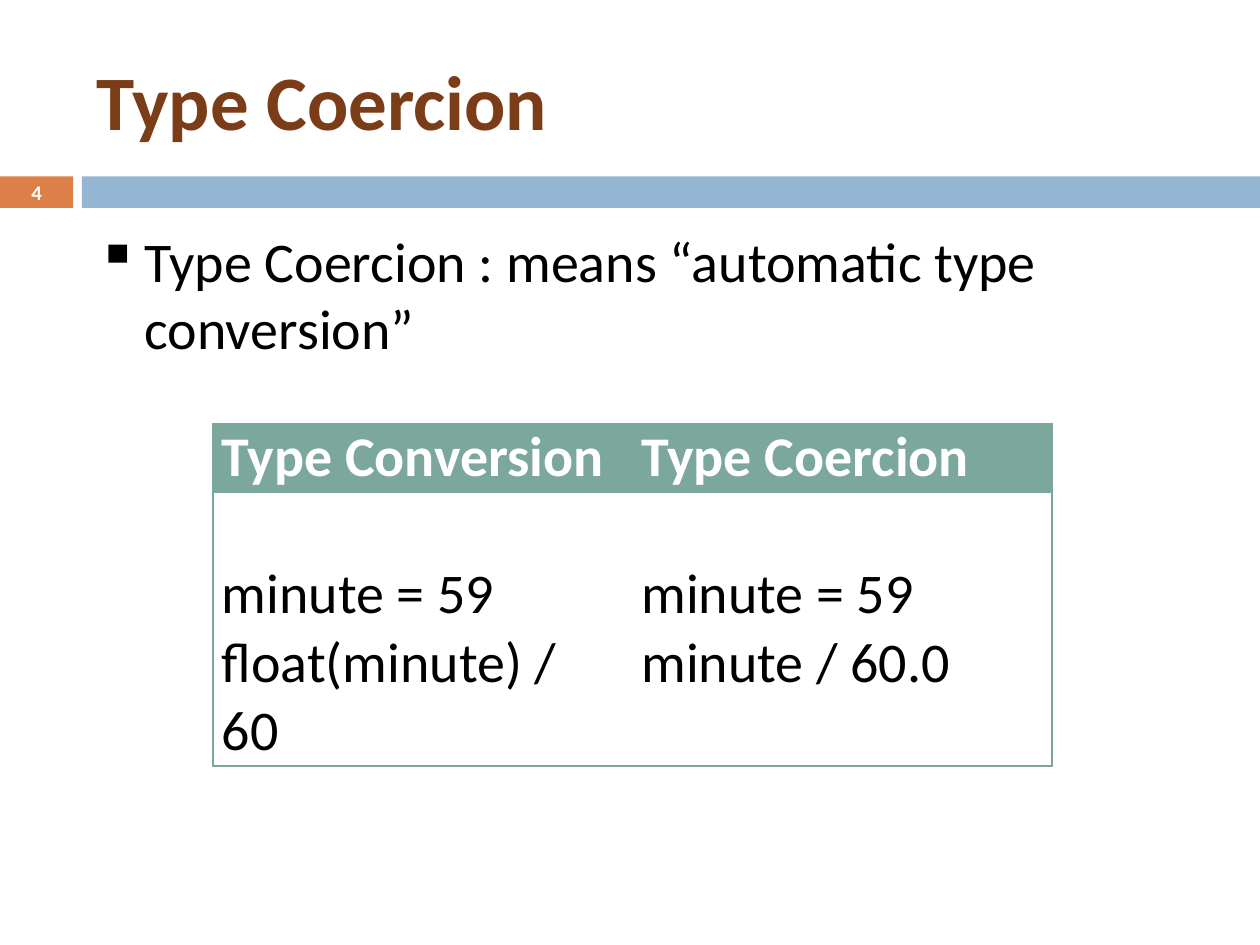
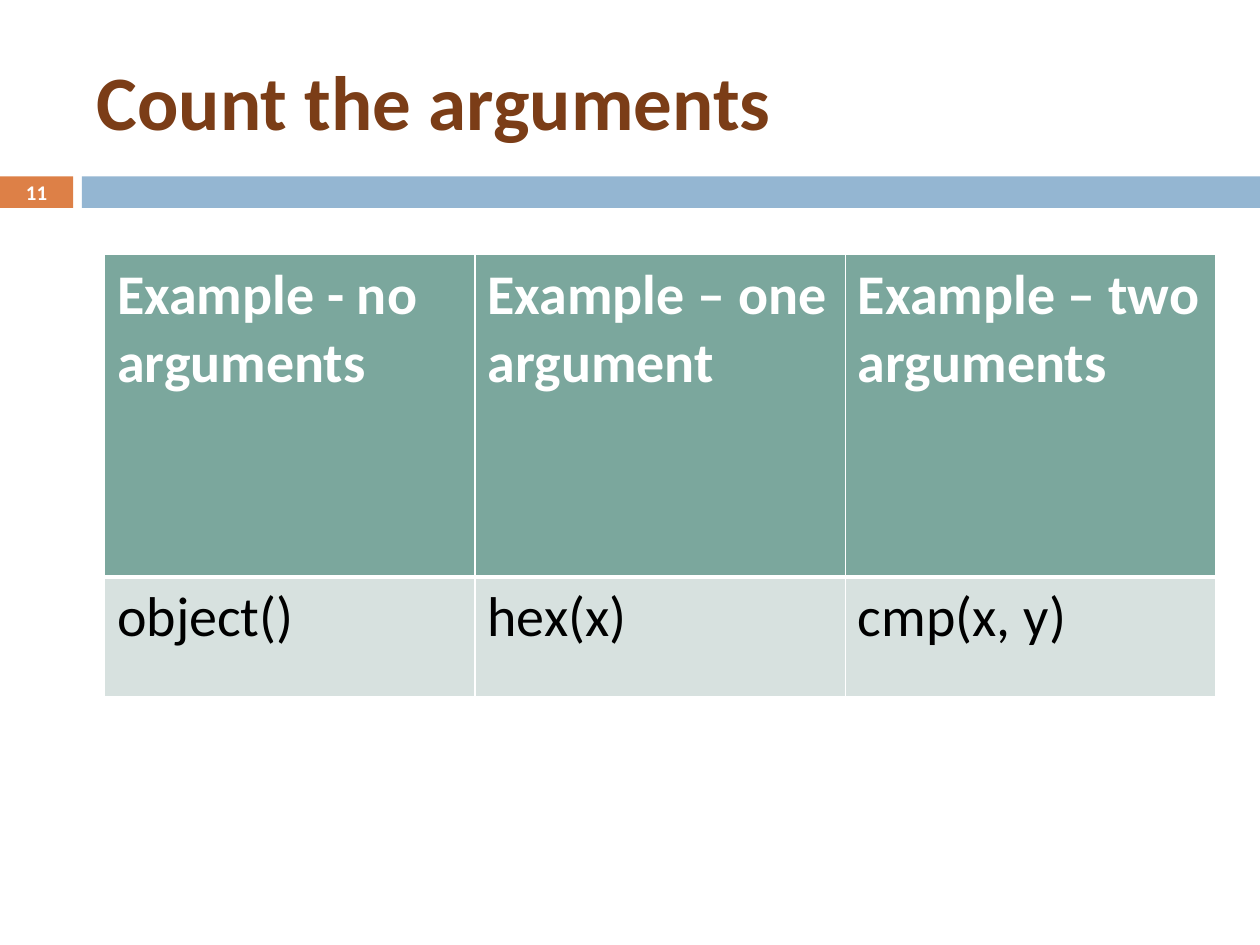
from dataclasses import dataclass

from lxml.etree import SubElement
from pptx import Presentation
from pptx.dml.color import RGBColor
from pptx.enum.shapes import MSO_SHAPE as Shape
from pptx.enum.text import MSO_ANCHOR as Anchor, PP_ALIGN as Align
from pptx.oxml.ns import qn
from pptx.util import Inches, Pt

FONT = "Calibri"
WHITE, BLACK, BROWN = "FFFFFF", "000000", "7B3D17"
ORANGE, BLUE = "DD8047", "94B6D2"
GREEN, PALE_GREEN = "7BA79D", "D7E1DF"
BODY_SIZE = 32


@dataclass
class Box:
    left: float
    top: float
    width: float
    height: float

    def lengths(self) -> list:
        return [Inches(v) for v in (self.left, self.top, self.width, self.height)]


@dataclass
class TextStyle:
    size: float
    color: str
    bold: bool = False


@dataclass
class Border:
    color: str
    points: float


@dataclass
class CellLook:
    text: TextStyle
    fill: str | None
    borders: dict[str, Border]
    side_margin: float = 0.1
    top_margin: float = 0.05
    bottom_margin: float = 0.05


NUMBER_BAND = Box(0, 1.4, 0.58, 0.25)
TITLE_BAND = Box(0.65, 1.4, 9.35, 0.25)
TITLE_BOX = Box(0.67, 0.25, 8.92, 1.08)
NUMBER_BOX = Box(0, 1.39, 0.58, 0.27)

TITLE_TEXT = TextStyle(44, BROWN, True)
NUMBER_TEXT = TextStyle(11.9, WHITE, True)
HEADER_TEXT = TextStyle(BODY_SIZE, WHITE, True)
BODY_TEXT = TextStyle(BODY_SIZE, BLACK)


def rgb(color: str) -> RGBColor:
    return RGBColor.from_string(color)


def add_run(paragraph, text: str, style: TextStyle) -> None:
    run = paragraph.add_run()
    run.text = text
    run.font.name = FONT
    run.font.size = Pt(style.size)
    run.font.bold = style.bold
    run.font.color.rgb = rgb(style.color)


def add_text(slide, box: Box, text: str, style: TextStyle,
             anchor=Anchor.MIDDLE, align=Align.LEFT):
    frame = slide.shapes.add_textbox(*box.lengths()).text_frame
    frame.word_wrap = True
    frame.vertical_anchor = anchor
    paragraph = frame.paragraphs[0]
    paragraph.alignment = align
    add_run(paragraph, text, style)
    return paragraph


def add_band(slide, box: Box, color: str) -> None:
    band = slide.shapes.add_shape(Shape.RECTANGLE, *box.lengths())
    band.shadow.inherit = False
    band.fill.solid()
    band.fill.fore_color.rgb = rgb(color)
    band.line.fill.background()


def add_bullet(paragraph) -> None:
    properties = paragraph._p.get_or_add_pPr()
    indent = Inches(0.38)
    properties.set("marL", str(indent))
    properties.set("indent", str(-indent))
    spacing = SubElement(properties, qn("a:spcBef"))
    SubElement(spacing, qn("a:spcPct"), val="20000")
    SubElement(properties, qn("a:buChar"), char="▪")


def set_borders(cell, borders: dict[str, Border]) -> None:
    properties = cell._tc.get_or_add_tcPr()
    for side in "LRTB":
        line = SubElement(properties, qn(f"a:ln{side}"))
        border = borders.get(side)
        if border is None:
            SubElement(line, qn("a:noFill"))
        else:
            line.set("w", str(Pt(border.points)))
            fill = SubElement(line, qn("a:solidFill"))
            SubElement(fill, qn("a:srgbClr"), val=border.color)


def fill_cell(cell, lines: list[str], look: CellLook) -> None:
    set_borders(cell, look.borders)
    if look.fill:
        cell.fill.solid()
        cell.fill.fore_color.rgb = rgb(look.fill)
    else:
        cell.fill.background()
    cell.margin_left = cell.margin_right = Inches(look.side_margin)
    cell.margin_top = Inches(look.top_margin)
    cell.margin_bottom = Inches(look.bottom_margin)
    frame = cell.text_frame
    for index, line in enumerate(lines):
        paragraph = frame.add_paragraph() if index else frame.paragraphs[0]
        add_run(paragraph, line, look.text)


def add_table(slide, left: float, top: float, column_width: float,
              row_heights: list[float], rows: list[list[list[str]]],
              looks: list[list[CellLook]]) -> None:
    count = len(rows[0])
    box = Box(left, top, column_width * count, sum(row_heights))
    table = slide.shapes.add_table(len(rows), count, *box.lengths()).table
    table.horz_banding = False
    for column in table.columns:
        column.width = Inches(column_width)
    for row, height in zip(table.rows, row_heights):
        row.height = Inches(height)
    for r, row_lines in enumerate(rows):
        for c, lines in enumerate(row_lines):
            fill_cell(table.cell(r, c), lines, looks[r][c])


def add_slide(presentation, title: str, number: int):
    slide = presentation.slides.add_slide(presentation.slide_layouts[6])
    add_band(slide, NUMBER_BAND, ORANGE)
    add_band(slide, TITLE_BAND, BLUE)
    add_text(slide, TITLE_BOX, title, TITLE_TEXT)
    add_text(slide, NUMBER_BOX, str(number), NUMBER_TEXT, align=Align.CENTER)
    return slide


def build_coercion(presentation) -> None:
    slide = add_slide(presentation, "Type Coercion", 4)
    bullet = add_text(slide, Box(0.67, 1.75, 9.21, 5.46),
                      "Type Coercion : means “automatic type conversion”",
                      BODY_TEXT, Anchor.TOP)
    add_bullet(bullet)

    # Comparison table with an outline only; code starts one line down
    edge = Border(GREEN, 0.79)
    header, code = [
        [CellLook(style, fill, dict.fromkeys(side + ends, edge), 0.07, top, 0)
         for side in "LR"]
        for style, fill, ends, top in ((HEADER_TEXT, GREEN, "TB", 0),
                                       (BODY_TEXT, None, "TB", 0.54))
    ]
    rows = [
        [["Type Conversion"], ["Type Coercion"]],
        [["minute = 59", "float(minute) / 60"], ["minute = 59", "minute / 60.0"]],
    ]
    add_table(slide, 1.69, 3.36, 3.33, [0.55, 2.17], rows, [header, code])


def build_arguments(presentation) -> None:
    slide = add_slide(presentation, "Count the arguments", 11)

    # Argument table with white rules, thicker under the header
    thin, thick = Border(WHITE, 1), Border(WHITE, 3)
    grid = dict.fromkeys("LRTB", thin)
    header = CellLook(HEADER_TEXT, GREEN, grid | {"B": thick})
    example = CellLook(BODY_TEXT, PALE_GREEN, grid | {"T": thick})
    rows = [
        [["Example - no arguments"], ["Example – one argument"],
         ["Example – two arguments"]],
        [["object()"], ["hex(x)"], ["cmp(x, y)"]],
    ]
    add_table(slide, 0.83, 2.02, 2.94, [2.56, 0.95], rows,
              [[header] * 3, [example] * 3])


def main() -> None:
    presentation = Presentation()
    presentation.slide_width = Inches(10)
    presentation.slide_height = Inches(7.5)
    build_coercion(presentation)
    build_arguments(presentation)
    presentation.save("out.pptx")


if __name__ == "__main__":
    main()
